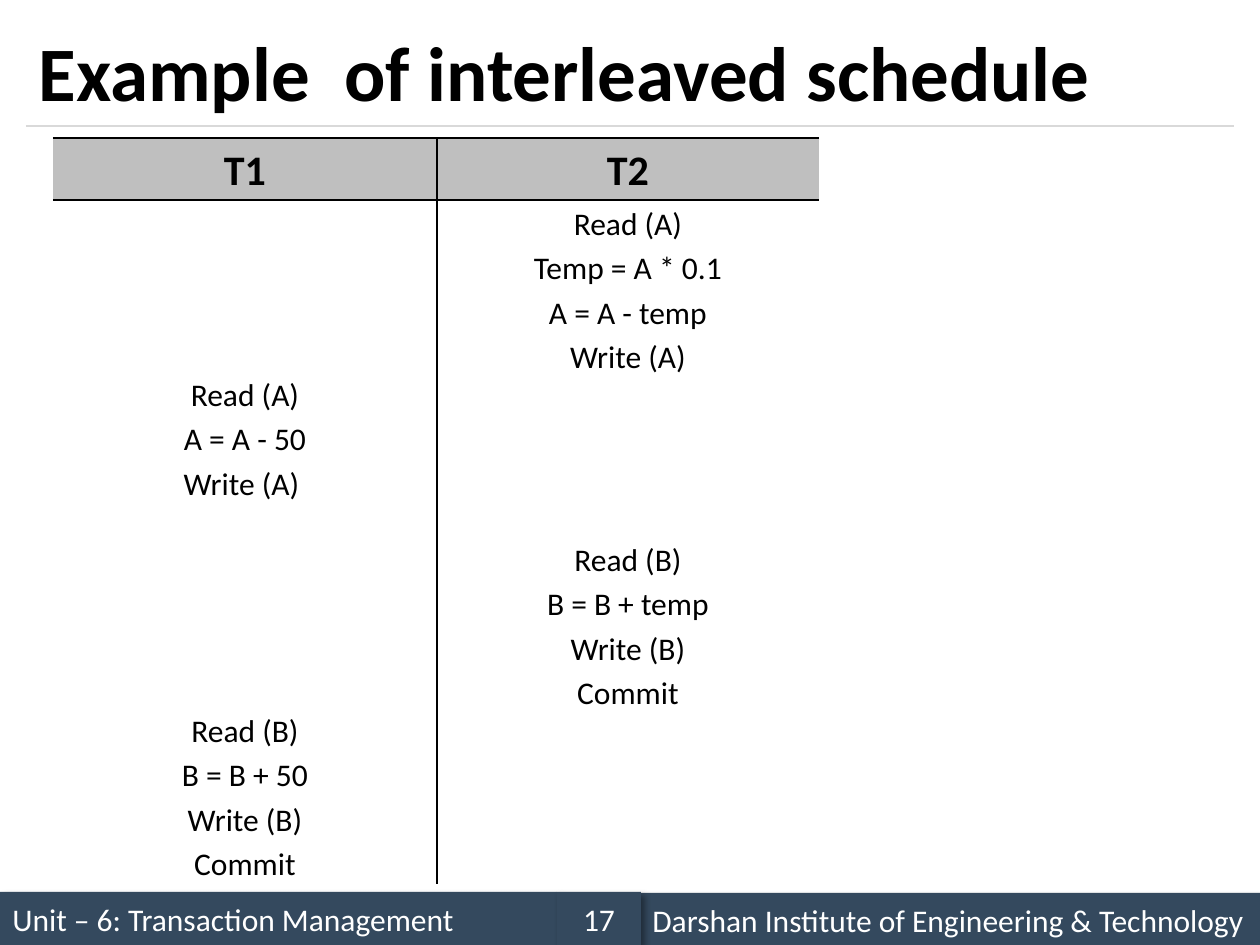
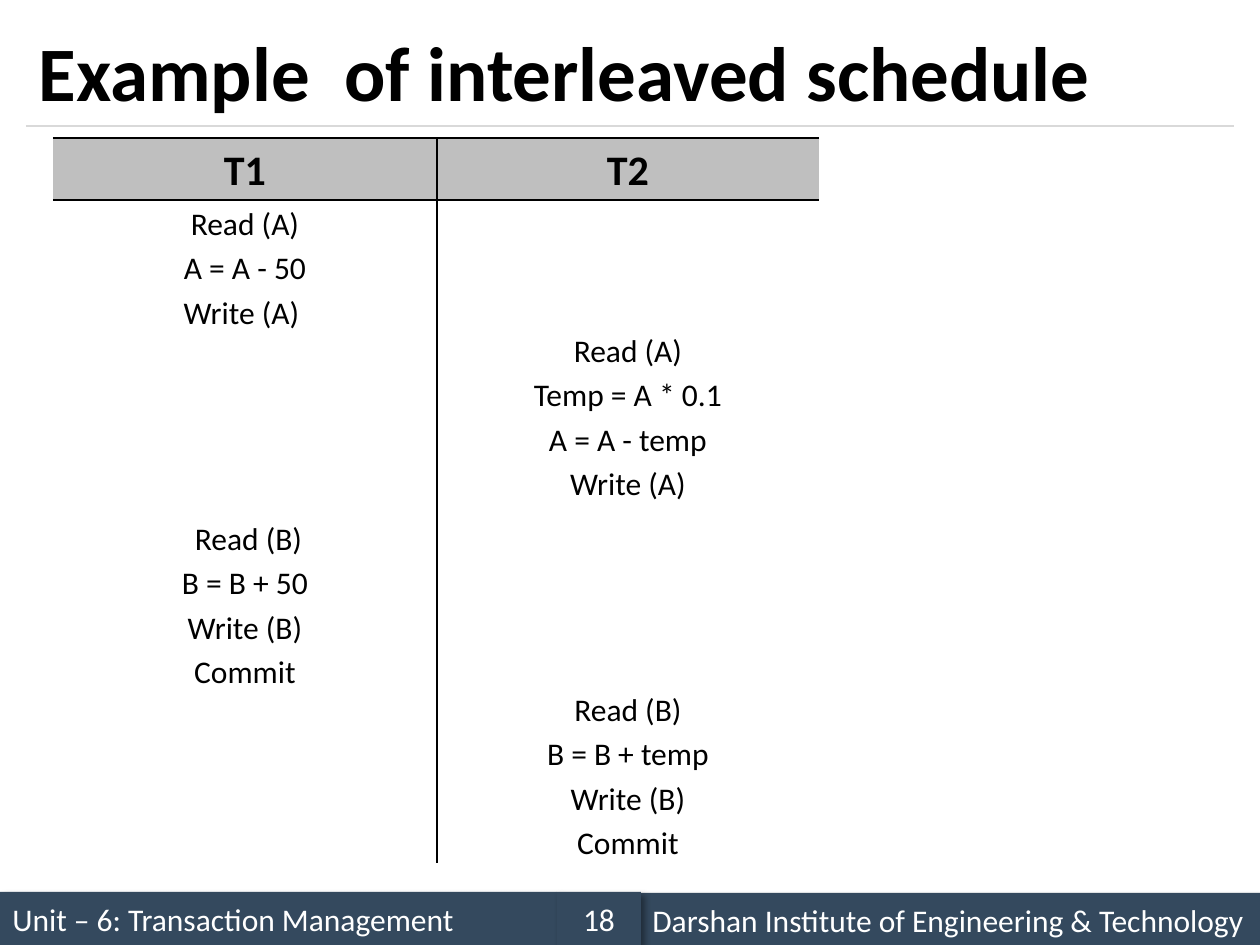
"""Build two slides that show interleaved schedules of two transactions."""
from dataclasses import dataclass

from lxml import etree
from pptx import Presentation
from pptx.dml.color import RGBColor
from pptx.enum.shapes import MSO_CONNECTOR, MSO_SHAPE
from pptx.enum.text import MSO_ANCHOR, MSO_AUTO_SIZE, PP_ALIGN
from pptx.oxml.ns import qn
from pptx.util import Emu, Pt

PX = 914400 / 126
LEFT, CENTER = PP_ALIGN.LEFT, PP_ALIGN.CENTER
MIDDLE, TOP = MSO_ANCHOR.MIDDLE, MSO_ANCHOR.TOP
NO_FIT = MSO_AUTO_SIZE.NONE
RECTANGLE, STRAIGHT = MSO_SHAPE.RECTANGLE, MSO_CONNECTOR.STRAIGHT
TITLE_ONLY = 5
NO_STYLE = "{2D5ABB26-0587-4C30-8999-92F81FD0307C}"

BLACK, WHITE, NAVY = "000000", "FFFFFF", "34495E"
RULE_GRAY, HEADER_GRAY = "D9D9D9", "BFBFBF"
TITLE_FONT = {"name": "Calibri", "size": Pt(44), "bold": True}
HEADER_FONT = {"name": "Calibri", "size": Pt(24), "bold": True}
BODY_FONT = {"name": "Calibri", "size": Pt(18), "bold": False}

TITLE = "Example  of interleaved schedule"
COLUMN_WIDTHS = (384, 382)
HEADER_HEIGHT, LAST_HEIGHT = 62, 346
LINE_PITCH, FIRST_LINE_TRIM = 44, 5


@dataclass(frozen=True)
class Band:
    """One footer band."""
    text: str
    left: int
    top: int
    width: int
    align: PP_ALIGN = LEFT


@dataclass(frozen=True)
class Steps:
    """The operations of one cell and the lines they wait before starting."""
    lines: tuple[str, ...]
    wait: int = 0


@dataclass(frozen=True)
class Schedule:
    """One slide: its number, first body row height and body rows."""
    number: int
    first_height: int
    rows: tuple[tuple[Steps, Steps], ...]


T1_A = ("Read (A)", "A = A - 50", "Write (A) ")
T1_B = ("B = B + 50", "Write (B)", "Commit")
T2_A = ("Read (A)", "Temp = A * 0.1", "A = A - temp", "Write (A)")
T2_B = ("Read (B)", "B = B + temp", "Write (B)", "Commit")
SCHEDULES = (
    Schedule(17, 336, (
        (Steps(T1_A, 4), Steps(T2_A)),
        (Steps(("Read (B)", *T1_B), 4), Steps(T2_B)),
    )),
    Schedule(18, 315, (
        (Steps(T1_A), Steps(T2_A, 3)),
        (Steps((" Read (B)", *T1_B)), Steps(T2_B, 4)),
    )),
)


def px(length: float) -> Emu:
    """Turn pixels into EMU."""
    return Emu(round(length * PX))


def color(value: str) -> RGBColor:
    """Turn a hex string into a colour."""
    return RGBColor.from_string(value)


def apply(target, values: dict) -> None:
    """Set every attribute named in values."""
    for name, value in values.items():
        setattr(target, name, value)


def write(frame, lines: tuple[str, ...], font: dict, ink: str,
          align: PP_ALIGN, spacing: float = 1.0) -> None:
    """Write one paragraph per line."""
    for index, line in enumerate(lines):
        para = frame.add_paragraph() if index else frame.paragraphs[0]
        apply(para, {"alignment": align, "line_spacing": spacing})
        span = para.add_run()
        span.text = line
        apply(span.font, font)
        span.font.color.rgb = color(ink)


def add_shadow(shape) -> None:
    """Give a shape a soft shadow toward the lower right."""
    effects = etree.SubElement(shape._element.spPr, qn("a:effectLst"))
    shadow = etree.SubElement(effects, qn("a:outerShdw"), blurRad=str(Pt(4)),
                              dist=str(Pt(3)), dir="2700000", algn="tl", rotWithShape="0")
    tint = etree.SubElement(shadow, qn("a:srgbClr"), val=BLACK)
    etree.SubElement(tint, qn("a:alpha"), val="40000")


def add_band(page, band: Band) -> None:
    """Draw one footer band."""
    box = page.shapes.add_shape(RECTANGLE, px(band.left), px(band.top),
                                px(band.width), px(53))
    box.fill.solid()
    box.fill.fore_color.rgb = color(NAVY)
    box.line.fill.background()
    add_shadow(box)
    apply(box.text_frame, {"word_wrap": True, "vertical_anchor": MIDDLE})
    write(box.text_frame, (band.text,), BODY_FONT, WHITE, band.align)


def add_rule(page) -> None:
    """Draw the line under the title."""
    rule = page.shapes.add_connector(STRAIGHT, px(26), px(126), px(1234), px(126))
    rule.line.color.rgb = color(RULE_GRAY)
    rule.line.width = Pt(0.75)
    etree.SubElement(rule._element.spPr, qn("a:effectLst"))


def add_frame(page, number: int) -> None:
    """Draw the title, its rule and the footer."""
    title = page.shapes.title
    apply(title, {"left": px(26), "top": px(15), "width": px(1207), "height": px(111)})
    apply(title.text_frame, {"word_wrap": True, "auto_size": NO_FIT,
                             "vertical_anchor": MIDDLE})
    write(title.text_frame, (TITLE,), TITLE_FONT, BLACK, LEFT)
    add_rule(page)
    for band in (
        Band("Unit – 6: Transaction Management", 0, 892, 557),
        Band("Darshan Institute of Engineering & Technology", 640, 893, 620),
        Band(str(number), 557, 892, 84, CENTER),
    ):
        add_band(page, band)


def add_borders(cell, sides: str) -> None:
    """Draw black borders on the sides named by L, R, T and B."""
    properties = cell._tc.get_or_add_tcPr()
    for side in "LRTB":
        border = etree.SubElement(properties, qn(f"a:ln{side}"), w=str(Pt(1)))
        if side in sides:
            fill = etree.SubElement(border, qn("a:solidFill"))
            etree.SubElement(fill, qn("a:srgbClr"), val=BLACK)
        else:
            etree.SubElement(border, qn("a:noFill"))


def fill_cell(cell, steps: Steps, is_header: bool, sides: str) -> None:
    """Format one cell and write its steps."""
    wait = steps.wait * LINE_PITCH - FIRST_LINE_TRIM if steps.wait else 0
    apply(cell, {"margin_left": px(9), "margin_right": px(9), "margin_top": px(wait),
                 "margin_bottom": 0, "vertical_anchor": TOP})
    add_borders(cell, sides)
    if is_header:
        cell.fill.solid()
        cell.fill.fore_color.rgb = color(HEADER_GRAY)
    else:
        cell.fill.background()
    font = HEADER_FONT if is_header else BODY_FONT
    write(cell.text_frame, steps.lines, font, BLACK, CENTER, 1.15)


def add_schedule(page, schedule: Schedule) -> None:
    """Draw the table of both transactions."""
    heights = (HEADER_HEIGHT, schedule.first_height, LAST_HEIGHT)
    table = page.shapes.add_table(len(heights), len(COLUMN_WIDTHS), px(53), px(138),
                                  px(sum(COLUMN_WIDTHS)), px(sum(heights))).table
    table._tbl.tblPr.find(qn("a:tableStyleId")).text = NO_STYLE
    apply(table, {"first_row": False, "horz_banding": False})
    for column, width in zip(table.columns, COLUMN_WIDTHS):
        column.width = px(width)
    rows = ((Steps(("T1",)), Steps(("T2",))), *schedule.rows)
    level_sides = ("TB", "T", "")
    for row, (height, cells) in enumerate(zip(heights, rows)):
        table.rows[row].height = px(height)
        for column, steps in enumerate(cells):
            sides = level_sides[row] + "RL"[column]
            fill_cell(table.cell(row, column), steps, row == 0, sides)


def main() -> None:
    """Build and save the deck."""
    deck = Presentation()
    apply(deck, {"slide_width": px(1260), "slide_height": px(945)})
    for schedule in SCHEDULES:
        page = deck.slides.add_slide(deck.slide_layouts[TITLE_ONLY])
        add_frame(page, schedule.number)
        add_schedule(page, schedule)
    deck.save("out.pptx")


if __name__ == "__main__":
    main()
